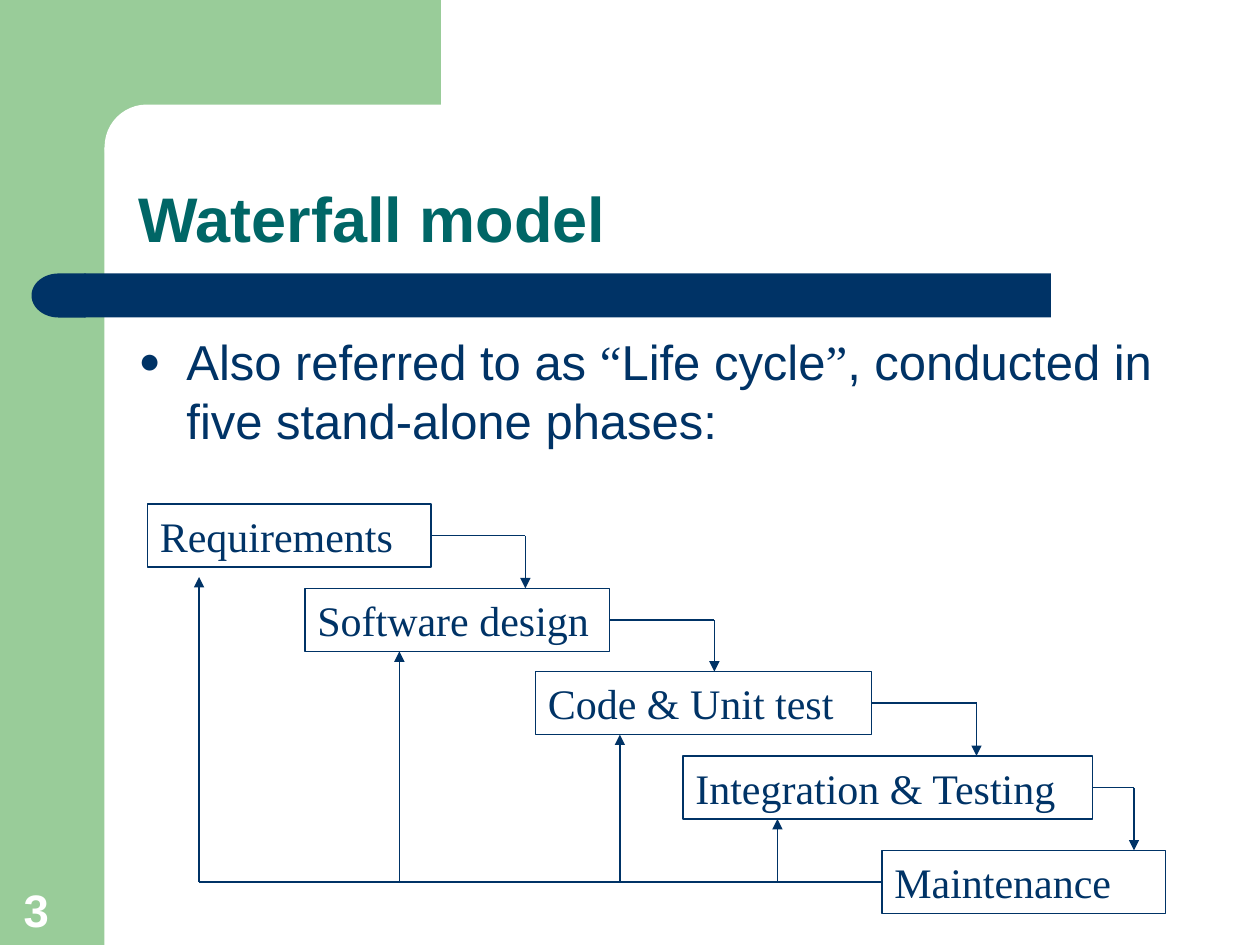
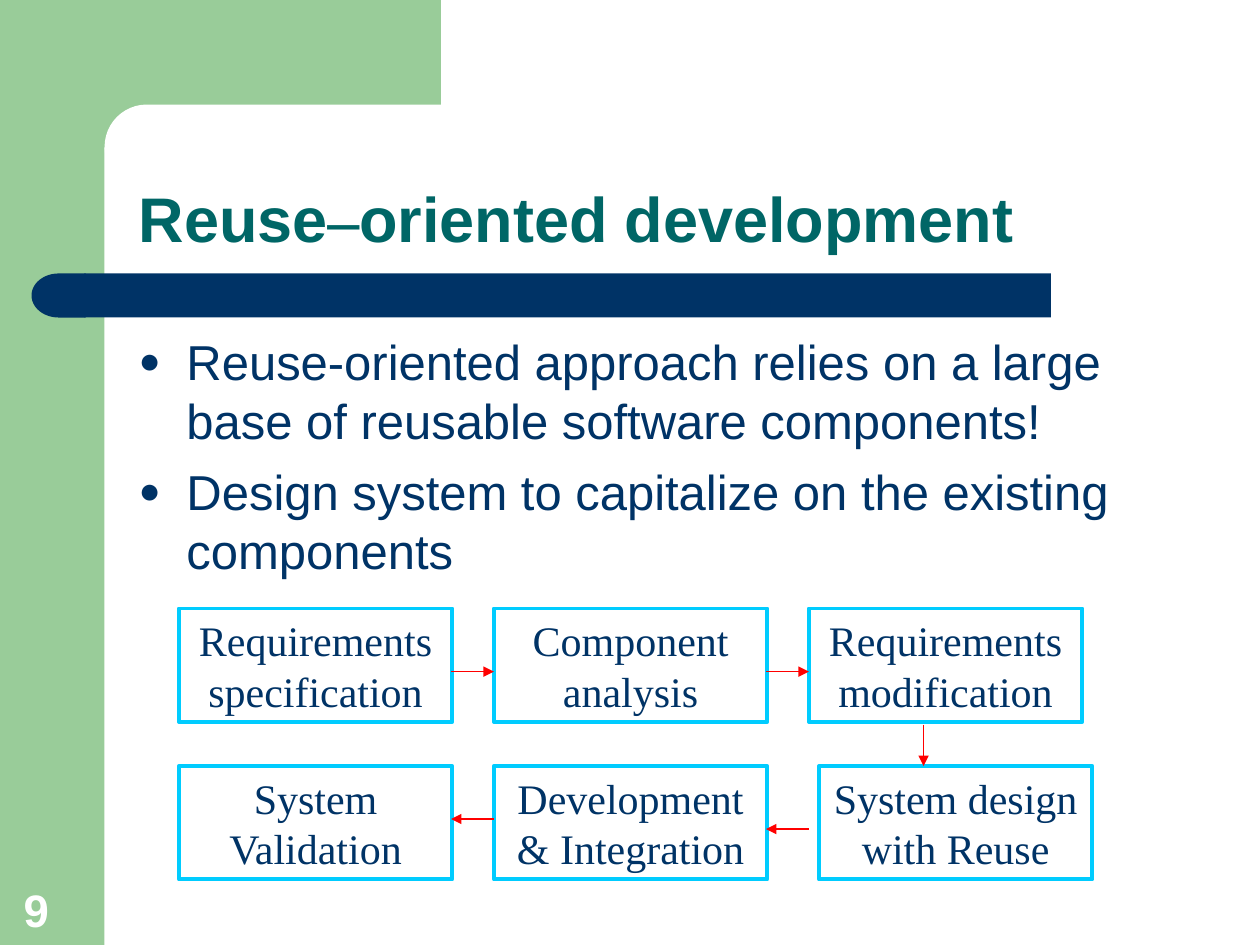
from itertools import groupby, pairwise

from lxml import etree
from pptx import Presentation
from pptx.dml.color import RGBColor
from pptx.enum.shapes import MSO_CONNECTOR, MSO_SHAPE
from pptx.enum.text import MSO_ANCHOR, MSO_AUTO_SIZE, PP_ALIGN
from pptx.oxml.ns import qn
from pptx.util import Inches, Pt

RECT = MSO_SHAPE.RECTANGLE
ROUNDED = MSO_SHAPE.ROUNDED_RECTANGLE
DELAY = MSO_SHAPE.FLOWCHART_DELAY
STRAIGHT = MSO_CONNECTOR.STRAIGHT
TOP, BOTTOM = MSO_ANCHOR.TOP, MSO_ANCHOR.BOTTOM
LEFT, CENTER = PP_ALIGN.LEFT, PP_ALIGN.CENTER
NO_FIT, GROW = MSO_AUTO_SIZE.NONE, MSO_AUTO_SIZE.SHAPE_TO_FIT_TEXT
LEFT_SIDE, RIGHT_SIDE = 1, 3

COLORS = {
    "navy": "003366",
    "teal": "006666",
    "green": "99CC99",
    "white": "FFFFFF",
    "cyan": "00CCFF",
    "red": "FF0000",
}
SANS, SERIF = "Arial", "Times New Roman"
SERIF_MARKS = "“”–"


def color(name):
    return RGBColor.from_string(COLORS[name])


def style(paragraph, size, color_name, font=None, bold=False):
    paragraph.font.size = Pt(size)
    paragraph.font.color.rgb = color(color_name)
    paragraph.font.bold = bold
    if font:
        paragraph.font.name = font


def write_mixed(paragraph, text):
    for is_mark, letters in groupby(text, lambda letter: letter in SERIF_MARKS):
        run = paragraph.add_run()
        run.text = "".join(letters)
        run.font.name = SERIF if is_mark else SANS


def place(placeholder, left, top, width, height, anchor):
    placeholder.left, placeholder.top = Inches(left), Inches(top)
    placeholder.width, placeholder.height = Inches(width), Inches(height)
    placeholder.text_frame.vertical_anchor = anchor
    placeholder.text_frame.auto_size = NO_FIT


def add_bullet(paragraph):
    properties = paragraph._p.get_or_add_pPr()
    properties.set("marL", str(Inches(0.38)))
    properties.set("indent", str(-Inches(0.38)))
    bullet_color = etree.SubElement(properties, qn("a:buClr"))
    etree.SubElement(bullet_color, qn("a:srgbClr"), val=COLORS["navy"])
    etree.SubElement(properties, qn("a:buSzPct"), val="75000")
    etree.SubElement(properties, qn("a:buFont"), typeface=SANS)
    etree.SubElement(properties, qn("a:buChar"), char="●")
    font_defaults = properties.find(qn("a:defRPr"))
    if font_defaults is not None:
        properties.append(font_defaults)


def add_band(slide, kind, left, top, width, height, fill):
    band = slide.shapes.add_shape(
        kind, Inches(left), Inches(top), Inches(width), Inches(height))
    band.shadow.inherit = False
    band.fill.solid()
    band.fill.fore_color.rgb = color(fill)
    band.line.fill.background()
    return band


def add_frame_to_layout(layout, slide):
    bands = [
        add_band(slide, RECT, 0, 0, 0.83, 7.5, "green"),
        add_band(slide, RECT, 0.75, 0, 2.75, 1.17, "green"),
        add_band(slide, ROUNDED, 0.83, 0.83, 5.58, 0.67, "white"),
        add_band(slide, RECT, 0.67, 2.17, 7.67, 0.35, "navy"),
        add_band(slide, DELAY, 0.25, 2.17, 0.43, 0.35, "navy"),
    ]
    bands[2].adjustments[0] = 0.5
    bands[4].rotation = 180
    first_placeholder = layout.placeholders[0].element
    for number, band in enumerate(bands, 101):
        band.element.nvSpPr.cNvPr.set("id", str(number))
        first_placeholder.addprevious(band.element)


def add_page_number(slide, number):
    frame = slide.shapes.add_textbox(
        Inches(0.09), Inches(6.94), Inches(0.64), Inches(0.54)).text_frame
    frame.word_wrap = True
    frame.vertical_anchor = BOTTOM
    frame.text = str(number)
    style(frame.paragraphs[0], 26, "white", SANS, bold=True)


def fill_slide(slide, number, heading, points, body_height):
    title, body = slide.placeholders
    place(title, 1, 0.83, 8.75, 1.25, BOTTOM)
    paragraph = title.text_frame.paragraphs[0]
    paragraph.alignment = LEFT
    paragraph.line_spacing = 0.9
    style(paragraph, 36, "teal", bold=True)
    write_mixed(paragraph, heading)

    place(body, 1, 2.58, 8.75, body_height, TOP)
    for index, point in enumerate(points):
        frame = body.text_frame
        paragraph = frame.add_paragraph() if index else frame.paragraphs[0]
        paragraph.space_before = Pt(7)
        style(paragraph, 28, "navy")
        add_bullet(paragraph)
        write_mixed(paragraph, point)
    add_page_number(slide, number)


def add_box(slide, text, left, top, width, height, line, weight, alignment):
    box = slide.shapes.add_shape(
        RECT, Inches(left), Inches(top), Inches(width), Inches(height))
    box.shadow.inherit = False
    box.fill.background()
    box.line.color.rgb = color(line)
    box.line.width = Pt(weight)
    frame = box.text_frame
    frame.word_wrap = True
    frame.auto_size = GROW
    frame.vertical_anchor = TOP
    frame.text = text
    paragraph = frame.paragraphs[0]
    paragraph.alignment = alignment
    paragraph.space_before = Pt(15)
    style(paragraph, 24, "navy", SERIF)
    return box


def add_line(slide, start, end, line, arrow=True):
    connector = slide.shapes.add_connector(
        STRAIGHT, *(Inches(value) for value in (*start, *end)))
    connector.line.color.rgb = color(line)
    connector.line.width = Pt(0.75)
    if arrow:
        etree.SubElement(connector.line._get_or_add_ln(), qn("a:tailEnd"), type="triangle")
    etree.SubElement(connector.element.spPr, qn("a:effectLst"))
    return connector


def draw_waterfall(slide):
    phases = [
        ("Requirements", 1.17, 4, 2.25),
        ("Software design", 2.42, 4.67, 2.42),
        ("Code & Unit test", 4.25, 5.33, 2.67),
        ("Integration & Testing", 5.42, 6, 3.25),
        ("Maintenance", 7, 6.75, 2.25),
    ]
    drop_columns = [4.17, 5.67, 7.75, 9]
    feedback_arrows = [(1.58, 4.58), (3.17, 5.17), (4.92, 5.83), (6.17, 6.5)]
    feedback_level = 7

    boxes = [add_box(slide, name, left, top, width, 0.5, "navy", 0.75, LEFT)
             for name, left, top, width in phases]
    for box, (phase, following), column in zip(boxes, pairwise(phases), drop_columns):
        _, left, top, width = phase
        middle = top + 0.25
        exit_line = add_line(
            slide, (left + width, middle), (column, middle), "navy", arrow=False)
        exit_line.begin_connect(box, RIGHT_SIDE)
        add_line(slide, (column, middle), (column, following[2]), "navy")

    feedback_line = add_line(
        slide, (7, feedback_level), (1.58, feedback_level), "navy", arrow=False)
    feedback_line.begin_connect(boxes[-1], LEFT_SIDE)
    for column, tip in feedback_arrows:
        add_line(slide, (column, feedback_level), (column, tip), "navy")


def draw_reuse_process(slide):
    stage_rows = [
        (4.83, [("Requirements specification", 1.42),
                ("Component analysis", 3.92),
                ("Requirements modification", 6.42)]),
        (6.08, [("System Validation", 1.42),
                ("Development & Integration", 3.92),
                ("System design with Reuse", 6.5)]),
    ]
    flow = [
        ((3.58, 5.33), (3.92, 5.33)),
        ((6.08, 5.33), (6.42, 5.33)),
        ((7.33, 5.75), (7.33, 6.08)),
        ((6.42, 6.58), (6.08, 6.58)),
        ((3.92, 6.5), (3.58, 6.5)),
    ]
    for top, stages in stage_rows:
        for name, left in stages:
            add_box(slide, name, left, top, 2.17, 0.9, "cyan", 2.25, CENTER)
    for start, end in flow:
        add_line(slide, start, end, "red")


def main():
    deck = Presentation()
    deck.slide_width, deck.slide_height = Inches(10), Inches(7.5)
    layout = deck.slide_layouts[1]

    waterfall = deck.slides.add_slide(layout)
    add_frame_to_layout(layout, waterfall)
    fill_slide(waterfall, 3, "Waterfall model", [
        "Also referred to as “Life cycle”, conducted in five stand-alone phases:",
    ], 4.67)
    draw_waterfall(waterfall)

    reuse = deck.slides.add_slide(layout)
    fill_slide(reuse, 9, "Reuse–oriented development", [
        "Reuse-oriented approach relies on a large base of reusable software components!",
        "Design system to capitalize on the existing components",
    ], 4.75)
    draw_reuse_process(reuse)

    deck.save("out.pptx")


if __name__ == "__main__":
    main()
